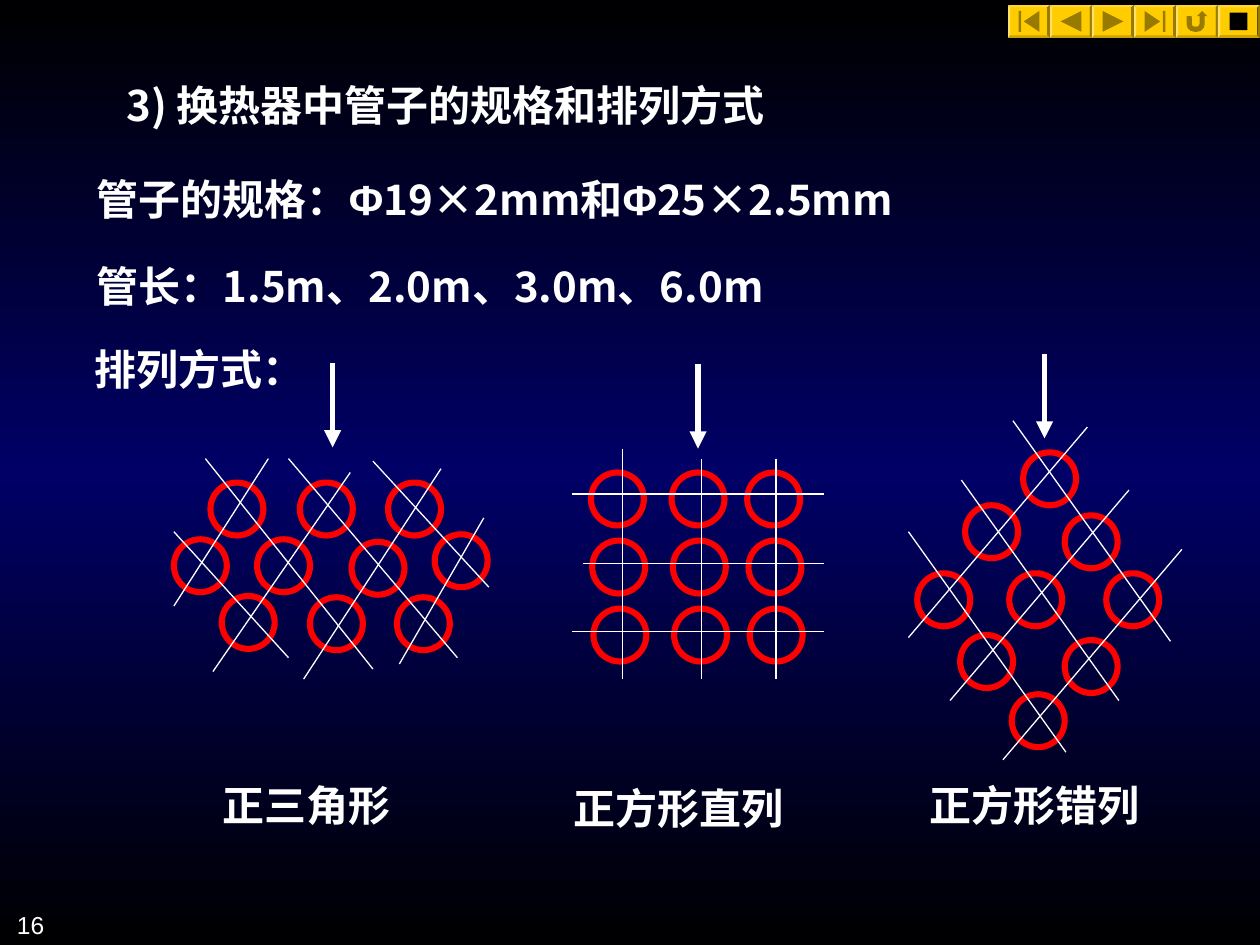
import copy
import pptx
import pptx.util
import pptx.dml.color
import pptx.enum.shapes
import pptx.enum.text
import pptx.oxml
import pptx.oxml.ns

Inches, Pt = pptx.util.Inches, pptx.util.Pt
SHAPE = pptx.enum.shapes.MSO_SHAPE
ALIGN = pptx.enum.text.PP_ALIGN
FIT = pptx.enum.text.MSO_AUTO_SIZE
qn = pptx.oxml.ns.qn

COLORS = {"white": "FFFFFF", "red": "FF0000", "gold": "FFCC00", "black": "000000", "navy": "000066"}
SANS, ARIAL = "Noto Sans CJK SC", "Arial"
BOLD = {"size": Pt(24), "bold": True}
SMALL = {"size": Pt(14), "bold": False}

STOPS = [(0, "black"), (0.5, "navy"), (1, "black")]
BUTTONS = [
    SHAPE.ACTION_BUTTON_BEGINNING, SHAPE.ACTION_BUTTON_BACK_OR_PREVIOUS,
    SHAPE.ACTION_BUTTON_FORWARD_OR_NEXT, SHAPE.ACTION_BUTTON_END,
    SHAPE.ACTION_BUTTON_RETURN, SHAPE.ACTION_BUTTON_CUSTOM,
]
BAR_LEFT, BAR_TOP, BAR_WIDE, BAR_HIGH, RIM = 8, 0.04, 2, 0.26, 0.02
LINES = [
    ((0.83, 0.58, 6.58, 0.5), [(" 3) 换热器中管子的规格和排列方式", SANS)]),
    ((0.67, 1.33, 8, 0.5), [("管子的规格：", SANS), ("Φ", ARIAL), ("19×2mm和", SANS),
                            ("Φ", ARIAL), ("25×2.5mm", SANS)]),
    ((0.67, 2.02, 6.83, 0.5), [("管长：1.5m、2.0m、3.0m、6.0m", SANS)]),
    ((0.65, 2.68, 2.35, 0.5), [("排列方式：", SANS)]),
    ((1.67, 6.14, 1.6, 0.5), [("正三角形", SANS)]),
    ((4.45, 6.16, 1.95, 0.5), [("正方形直列", SANS)]),
    ((7.28, 6.14, 1.95, 0.5), [("正方形错列", SANS)]),
]
ARROWS = [(2.64, 2.88), (5.54, 2.89), (8.29, 2.81)]
DROP = 0.67

TUBE = 0.42
TRI_TUBES = [
    (1.67, 3.83), (2.38, 3.83), (3.08, 3.83),
    (1.38, 4.28), (2.04, 4.28), (2.79, 4.3), (3.45, 4.24),
    (1.76, 4.73), (2.46, 4.74), (3.15, 4.74),
]
TRI_RULES = [
    (1.63, 3.64, 2.96, 5.31), (2.29, 3.64, 3.63, 5.22),
    (2.96, 3.66, 3.88, 4.66), (1.38, 4.22, 2.29, 5.22),
    (2.13, 3.64, 1.38, 4.81), (2.78, 3.75, 1.69, 5.33),
    (3.5, 3.72, 2.41, 5.39), (3.84, 4.11, 3.17, 5.27),
]
GRID_COLS, GRID_TOP, GRID_STEP, GRID_SKEW = [4.69, 5.33, 5.93], 3.75, 0.54, 0.01
GRID_DOWN = [(4.94, 3.56), (5.57, 3.64), (6.16, 3.64)]
GRID_LEVEL = [(4.54, 3.92), (4.63, 4.47), (4.54, 5.01)]
GRID_LOW, GRID_RIGHT = 5.39, 6.54
STAG_TUBES = [
    (8.12, 3.59), (7.66, 4.01), (8.45, 4.09),
    (7.28, 4.55), (8.01, 4.55), (8.78, 4.55),
    (7.62, 5.04), (8.45, 5.08), (8.03, 5.51),
]
STAG_RULES = [
    ((-1.42, 1.67), [(8.63, 3.39), (8.96, 3.89), (9.38, 4.36)]),
    ((1.25, 1.75), [(8.04, 3.34), (7.63, 3.81), (7.21, 4.22)]),
]


def paint(name):
    return pptx.dml.color.RGBColor.from_string(COLORS[name])


def add_text(slide, box, runs, style, align=ALIGN.LEFT, fit=FIT.SHAPE_TO_FIT_TEXT):
    frame = slide.shapes.add_textbox(*map(Inches, box)).text_frame
    for key, val in {"word_wrap": True, "auto_size": fit}.items():
        setattr(frame, key, val)
    para = frame.paragraphs[0]
    para.alignment = align
    for words, face in runs:
        run = para.add_run()
        run.text = words
        for key, val in {**style, "name": face}.items():
            setattr(run.font, key, val)
        run.font.color.rgb = paint("white")
        east = pptx.oxml.parse_xml('<a:ea %s typeface="%s"/>' % (pptx.oxml.ns.nsdecls("a"), SANS))
        run.font._element.find(qn("a:latin")).addnext(east)


def add_shape(slide, kind, box, fill=None, edge=None):
    shape = slide.shapes.add_shape(kind, *map(Inches, box))
    shape.shadow.inherit = False
    if fill:
        shape.fill.solid()
        shape.fill.fore_color.rgb = paint(fill)
    else:
        shape.fill.background()
    if edge:
        shape.line.color.rgb = paint(edge)
        shape.line.width = Pt(3.5)
    else:
        shape.line.fill.background()
    return shape


def add_button(slide, kind, x, wide):
    rim = add_shape(slide, SHAPE.BEVEL, (x, BAR_TOP, wide, BAR_HIGH), "gold")
    rim.adjustments[0] = RIM / BAR_HIGH
    face = (x + RIM, BAR_TOP + RIM, wide - 2 * RIM, BAR_HIGH - 2 * RIM)
    add_shape(slide, kind, face, "gold")


def add_rule(slide, ends, width=0.75, arrow=False):
    kind = pptx.enum.shapes.MSO_CONNECTOR.STRAIGHT
    rule = slide.shapes.add_connector(kind, *map(Inches, ends))
    rule.line.color.rgb = paint("white")
    rule.line.width = Pt(width)
    props = rule._element.spPr
    props.append(props.makeelement(qn("a:effectLst"), {}))
    if arrow:
        line = props.find(qn("a:ln"))
        line.append(line.makeelement(qn("a:tailEnd"), {"type": "triangle"}))


def set_back(slide):
    fill = slide.background.fill
    fill.gradient()
    fill.gradient_angle = 270
    stops = slide._element.find(".//" + qn("a:gsLst"))
    stops.append(copy.deepcopy(stops[-1]))
    for stop, (place, color) in zip(fill.gradient_stops, STOPS):
        stop.position = place
        stop.color.rgb = paint(color)


def main():
    deck = pptx.Presentation()
    deck.slide_width, deck.slide_height = Inches(10), Inches(7.5)
    slide = deck.slides.add_slide(deck.slide_layouts[6])
    set_back(slide)

    wide = BAR_WIDE / len(BUTTONS)
    for spot, kind in enumerate(BUTTONS):
        add_button(slide, kind, BAR_LEFT + spot * wide, wide)
    add_shape(slide, SHAPE.RECTANGLE, (9.76, 0.1, 0.14, 0.14), "black")

    add_text(slide, (-0.35, 7.17, 0.8, 0.52), [("16", ARIAL)], SMALL, ALIGN.RIGHT, FIT.NONE)
    for box, runs in LINES:
        add_text(slide, box, runs, BOLD)
    for x, y in ARROWS:
        add_rule(slide, (x, y, x, y + DROP), 3.25, True)

    grid = [(x + row * GRID_SKEW, GRID_TOP + row * GRID_STEP) for row in range(3) for x in GRID_COLS]
    for x, y in TRI_TUBES + grid + STAG_TUBES:
        add_shape(slide, SHAPE.OVAL, (x, y, TUBE, TUBE), edge="red")

    rules = list(TRI_RULES)
    rules += [(x, y, x, GRID_LOW) for x, y in GRID_DOWN]
    rules += [(x, y, GRID_RIGHT, y) for x, y in GRID_LEVEL]
    rules += [(x, y, x + dx, y + dy) for (dx, dy), starts in STAG_RULES for x, y in starts]
    for ends in rules:
        add_rule(slide, ends)

    deck.save("out.pptx")


if __name__ == "__main__":
    main()
